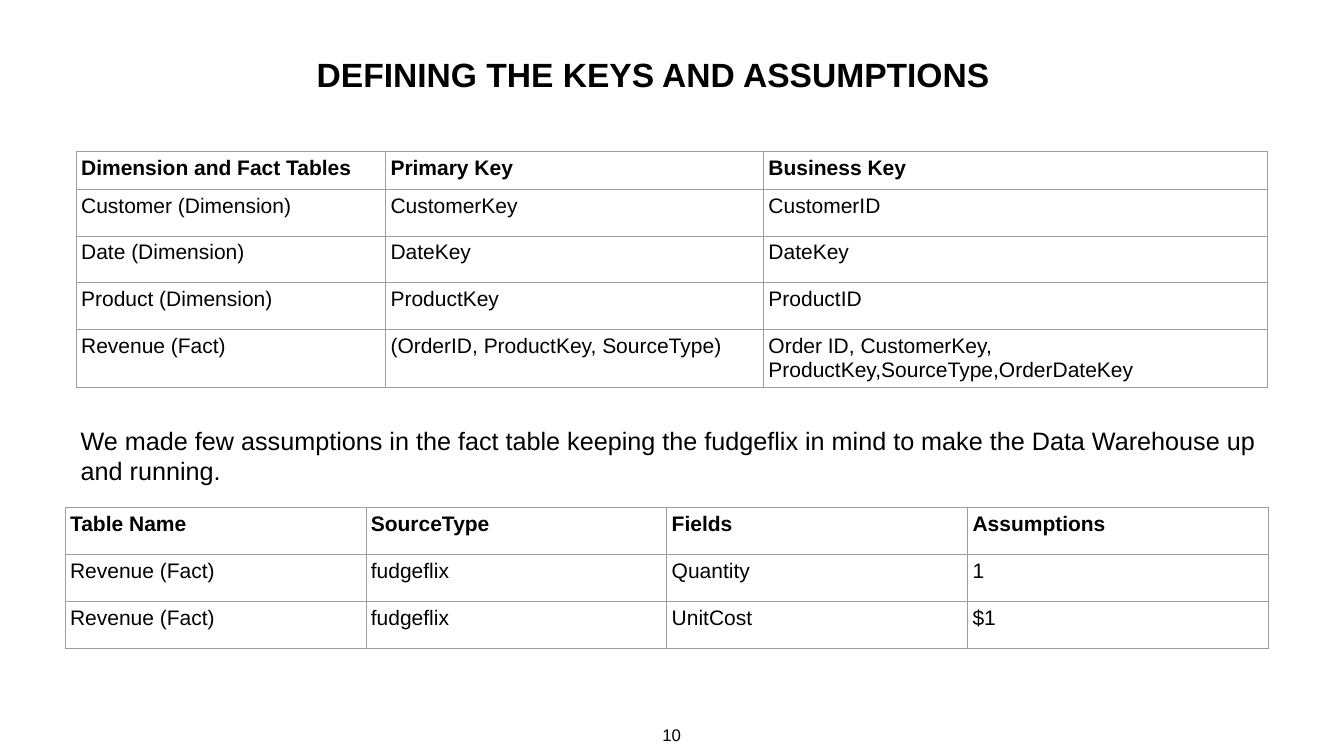
import pptx
import pptx.dml.color
import pptx.enum.text
import pptx.oxml
import pptx.util
from pptx.oxml.ns import nsdecls
from pptx.util import Inches

FONT = "Arial"
BLACK = "000000"
GRID = "9E9E9E"
LEFT = pptx.enum.text.PP_ALIGN.LEFT
CENTER = pptx.enum.text.PP_ALIGN.CENTER
TOP = pptx.enum.text.MSO_ANCHOR.TOP
MIDDLE = pptx.enum.text.MSO_ANCHOR.MIDDLE

TITLE = "DEFINING THE KEYS AND ASSUMPTIONS"
NOTE = ("We made few assumptions in the fact table keeping the fudgeflix in mind "
        "to make the Data Warehouse up and running.")
PAGE = "10"

KEYS = [
    ("Dimension and Fact Tables", "Primary Key", "Business Key"),
    ("Customer (Dimension)", "CustomerKey", "CustomerID"),
    ("Date (Dimension)", "DateKey", "DateKey"),
    ("Product (Dimension)", "ProductKey", "ProductID"),
    ("Revenue (Fact)", "(OrderID, ProductKey, SourceType)",
     "Order ID, CustomerKey, ProductKey,SourceType,OrderDateKey"),
]
ASSUMPTIONS = [
    ("Table Name", "SourceType", "Fields", "Assumptions"),
    ("Revenue (Fact)", "fudgeflix", "Quantity", "1"),
    ("Revenue (Fact)", "fudgeflix", "UnitCost", "$1"),
]


def color(value):
    return pptx.dml.color.RGBColor.from_string(value)


def write(tf, text, size, bold=False, align=LEFT, anchor=TOP, inset=0.06):
    tf.text = text
    tf.word_wrap = True
    tf.vertical_anchor = anchor
    tf.margin_left = tf.margin_right = Inches(inset)
    tf.margin_top = tf.margin_bottom = Inches(inset)
    p = tf.paragraphs[0]
    p.alignment = align
    font = p.runs[0].font
    font.name, font.size, font.bold = FONT, pptx.util.Pt(size), bold
    font.color.rgb = color(BLACK)


def place(sp, left, top, width, height):
    sp.left, sp.top = Inches(left), Inches(top)
    sp.width, sp.height = Inches(width), Inches(height)


def add_text(s, box, text, size, align=LEFT):
    sp = s.shapes.add_textbox(*map(Inches, box))
    write(sp.text_frame, text, size, align=align)


def add_borders(cell):
    tcPr = cell._tc.get_or_add_tcPr()
    for side in "LRTB":
        tcPr.append(pptx.oxml.parse_xml(
            f'<a:ln{side} {nsdecls("a")} w="9525"><a:solidFill>'
            f'<a:srgbClr val="{GRID}"/></a:solidFill></a:ln{side}>'))


def add_grid(s, left, top, widths, heights, rows):
    """Add a plain ruled table whose first row is bold."""
    table = s.shapes.add_table(
        len(rows), len(widths), Inches(left), Inches(top),
        Inches(sum(widths)), Inches(sum(heights))).table
    table.horz_banding = False
    for column, width in zip(table.columns, widths):
        column.width = Inches(width)
    for i, (row, height) in enumerate(zip(rows, heights)):
        table.rows[i].height = Inches(height)
        for j, text in enumerate(row):
            cell = table.cell(i, j)
            write(cell.text_frame, text, 30, bold=i == 0)
            cell.margin_left = cell.margin_right = Inches(0.1)
            cell.margin_top = cell.margin_bottom = Inches(0.1)
            cell.vertical_anchor = TOP
            add_borders(cell)
            cell.fill.background()


def main():
    prs = pptx.Presentation()
    prs.slide_width, prs.slide_height = Inches(26.67), Inches(15)
    s = prs.slides.add_slide(prs.slide_layouts[5])

    title = s.shapes.title
    place(title, 3.78, 1.01, 18.37, 0.92)
    write(title.text_frame, TITLE, 48, bold=True, align=CENTER, anchor=MIDDLE)

    add_grid(s, 1.51, 3.01, [6.14, 7.5, 10], [0.74] + [0.93] * 3 + [1.14], KEYS)
    add_text(s, (1.54, 8.38, 23.58, 1.7), NOTE, 36)
    add_grid(s, 1.29, 10.07, [5.97] * 4, [0.93] * 3, ASSUMPTIONS)
    add_text(s, (13.08, 14.31, 0.5, 0.5), PAGE, 24, align=CENTER)
    prs.save("out.pptx")


if __name__ == "__main__":
    main()
